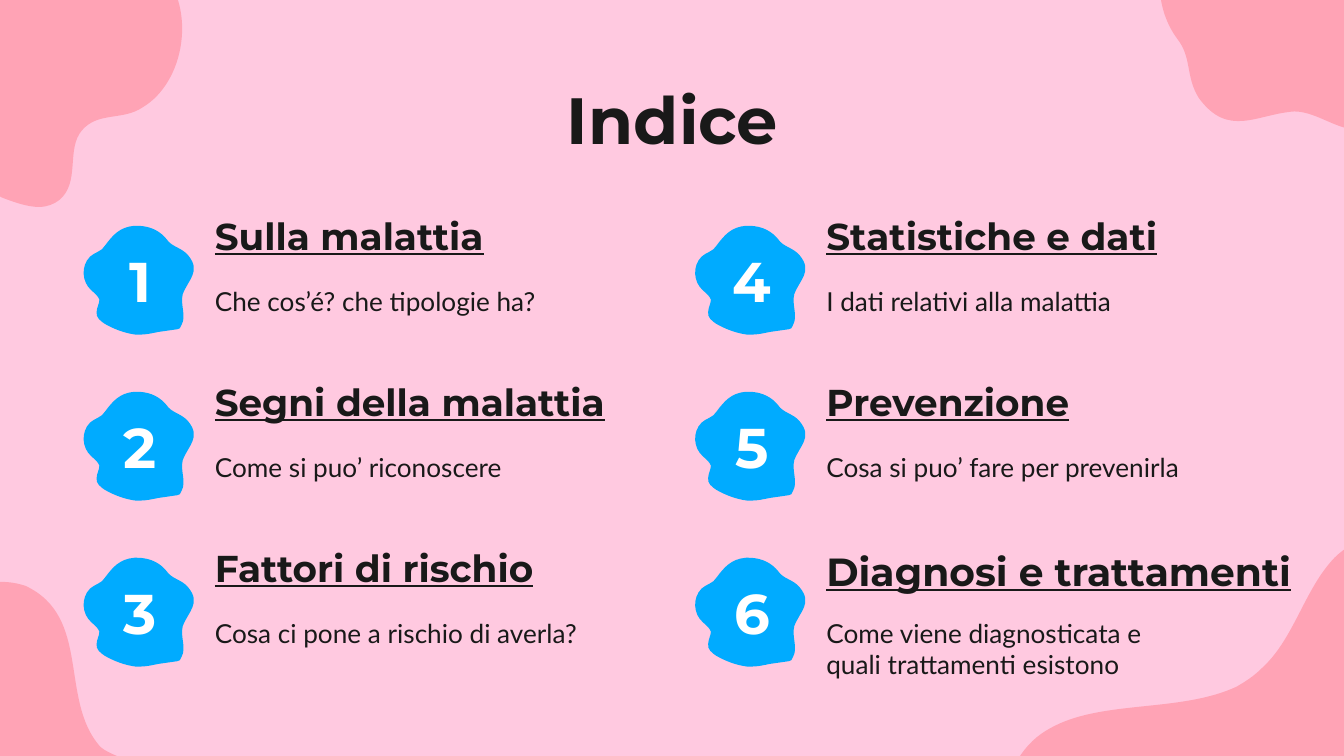
from dataclasses import dataclass

from lxml.etree import SubElement
from pptx import Presentation
from pptx.dml.color import RGBColor
from pptx.enum.text import MSO_ANCHOR as Anchor, PP_ALIGN as Align
from pptx.oxml.ns import qn
from pptx.util import Pt

# Content: (title, description), read down the left column, then the right
HEADING = "Indice"
ENTRIES = [
    ("Sulla malattia", "Che cos’é? che tipologie ha?"),
    ("Segni della malattia", "Come si puo’ riconoscere"),
    ("Fattori di rischio", "Cosa ci pone a rischio di averla?"),
    ("Statistiche e dati", "I dati relativi alla malattia"),
    ("Prevenzione", "Cosa si puo’ fare per prevenirla"),
    ("Diagnosi e trattamenti",
     "Come viene diagnosticata e quali trattamenti esistono"),
]
LAST_TITLE = 5  # the long one: larger, wider and slightly lower

# Outlines: a start point, then cubic curves (6 numbers) or lines (2 numbers)
BADGE = [
    (42, 0), (41, 0, 41, 0, 40, 0), (29, 1, 24, 7, 18, 15),
    (16, 19, 10, 20, 7, 23), (0, 30, 1, 42, 8, 48), (10, 50, 13, 52, 14, 55),
    (14, 58, 12, 61, 12, 64), (11, 68, 15, 71, 18, 73),
    (25, 77, 33, 80, 41, 81), (42, 81, 43, 81, 44, 81),
    (49, 81, 53, 80, 58, 79), (72, 77), (73, 77, 75, 76, 75, 74),
    (79, 67, 74, 59, 76, 51), (80, 40, 90, 34, 80, 22),
    (75, 16, 68, 16, 64, 10), (60, 5, 53, 0, 42, 0),
]
TOP_RIGHT = [
    (865, -27), (866, -29, 866, -31, 867, -33), (876, -57, 894, -65, 914, -73),
    (925, -77, 932, -88, 942, -94), (961, -105, 988, -95, 998, -75),
    (1002, -69, 1005, -61, 1011, -58), (1018, -56, 1026, -59, 1033, -58),
    (1041, -55, 1046, -46, 1048, -38), (1053, -19, 1055, 1, 1053, 21),
    (1053, 23, 1052, 25, 1051, 28), (1049, 38, 1044, 49, 1039, 59),
    (1024, 88), (1023, 92, 1020, 95, 1016, 96), (998, 100, 981, 83, 963, 83),
    (935, 85, 914, 103, 892, 73), (882, 57, 887, 43, 876, 29),
    (867, 17, 859, -4, 865, -27),
]
BOTTOM_LEFT = [
    (1, 433), (7, 433, 13, 434, 19, 436), (68, 459, 44, 520, 74, 555),
    (88, 571, 204, 587, 156, 620), (133, 635, 103, 630, 79, 641),
    (68, 646, 58, 654, 45, 656), (43, 657, 40, 657, 38, 657),
    (19, 657, 2, 644, -12, 631), (-29, 616, -46, 599, -68, 598),
    (-85, 598, -101, 608, -117, 608), (-119, 608, -122, 608, -125, 607),
    (-151, 601, -159, 564, -146, 541), (-132, 519, -104, 508, -78, 503),
    (-66, 501, -55, 499, -48, 490), (-39, 480, -41, 466, -36, 455),
    (-31, 440, -15, 433, 1, 433),
]
TOP_LEFT = [
    (31, -103), (31, -103, 32, -103, 32, -103), (37, -103, 41, -100, 44, -96),
    (53, -86, 53, -72, 51, -58), (50, -46, 48, -32, 53, -19),
    (57, -10, 67, -3, 76, -3), (80, -3, 83, -4, 86, -6),
    (95, -13, 98, -28, 109, -28), (114, -28, 118, -25, 120, -22),
    (146, 6, 138, 61, 106, 80), (91, 90, 73, 83, 61, 97),
    (49, 111, 60, 136, 44, 149), (40, 152, 35, 154, 29, 154),
    (21, 154, 12, 151, 4, 148), (1, 147, -3, 145, -5, 142),
    (-10, 136, -8, 128, -6, 121), (-1, 104, -4, 83, -19, 73),
    (-32, 63, -51, 64, -63, 53), (-73, 44, -75, 28, -71, 15),
    (-66, -3, -50, -16, -32, -19), (-14, -23, 9, -19, 18, -34),
    (25, -46, 19, -60, 16, -73), (13, -85, 19, -103, 31, -103),
]
BOTTOM_RIGHT = [
    (1010, 403), (1038, 389, 1073, 397, 1080, 433),
    (1085, 461, 1057, 471, 1050, 494), (1029, 567, 1138, 562, 1101, 623),
    (1093, 636, 1082, 645, 1069, 651), (1057, 657, 1044, 661, 1031, 663),
    (1007, 669, 981, 671, 958, 682), (956, 683, 954, 684, 952, 685),
    (915, 707, 895, 754, 859, 772), (853, 775, 847, 777, 841, 778),
    (834, 779, 827, 779, 821, 774), (817, 771, 815, 767, 813, 763),
    (799, 738, 786, 712, 773, 686), (753, 646, 733, 597, 760, 561),
    (767, 551, 775, 545, 785, 540), (823, 521, 879, 530, 920, 511),
    (927, 507, 933, 503, 938, 498), (963, 476, 970, 439, 993, 415),
    (998, 410, 1004, 406, 1010, 403),
]
CORNERS = [TOP_RIGHT, BOTTOM_LEFT, TOP_LEFT, BOTTOM_RIGHT]


@dataclass(frozen=True)
class Theme:
    background: str = "FFC9E0"
    corner: str = "FF0E0B"
    corner_alpha: int = 20
    badge: str = "00ABFF"
    ink: str = "191919"
    white: str = "FFFFFF"
    display: str = "Montserrat"
    body: str = "Lato"
    heading_size: int = 35
    number_size: int = 30
    title_size: int = 20
    long_title_size: int = 21
    body_size: int = 14


T = Theme()
COLUMNS = (60, 515)
PITCH = 123.5  # distance between rows


def px(n):
    """100 px to the inch."""
    return round(n * 9144)


def add_blob(s, outline, color, dx=0, dy=0, alpha=None):
    ends = [segment[-2:] for segment in outline]
    left, top = (min(values) for values in zip(*ends))
    builder = s.shapes.build_freeform(*ends[0], scale=px(1))
    builder.add_line_segments(ends[1:], close=True)
    sp = builder.convert_to_shape(px(dx), px(dy))
    sp.shadow.inherit = False
    sp.fill.solid()
    sp.fill.fore_color.rgb = RGBColor.from_string(color)
    sp.line.fill.background()
    # Bend the straight sides into curves
    sides = list(sp.element.iter(qn("a:lnTo")))
    for side, segment in zip(sides, outline[1:]):
        if len(segment) == 6:
            side.tag = qn("a:cubicBezTo")
            side.remove(side[0])
            for x, y in zip(segment[::2], segment[1::2]):
                SubElement(side, qn("a:pt"), x=str(x - left), y=str(y - top))
    if alpha is not None:
        rgb = next(sp.element.iter(qn("a:srgbClr")))
        SubElement(rgb, qn("a:alpha"), val=str(alpha * 1000))


def add_text(s, text, box, size, font=T.display, color=T.ink, bold=True,
             underline=False, align=Align.LEFT, anchor=Anchor.TOP):
    tf = s.shapes.add_textbox(*map(px, box)).text_frame
    tf.word_wrap = True
    tf.vertical_anchor = anchor
    tf.margin_left = tf.margin_right = tf.margin_top = tf.margin_bottom = px(10)
    p = tf.paragraphs[0]
    p.text = text
    p.alignment = align
    p.font.name = font
    p.font.size = Pt(size)
    p.font.bold = bold
    p.font.underline = underline
    p.font.color.rgb = RGBColor.from_string(color)


prs = Presentation()
prs.slide_width, prs.slide_height = px(1000), px(562.5)
s = prs.slides.add_slide(prs.slide_layouts[6])
s.background.fill.solid()
s.background.fill.fore_color.rgb = RGBColor.from_string(T.background)

# Corner decoration
for outline in CORNERS:
    add_blob(s, outline, T.corner, alpha=T.corner_alpha)

# Heading
add_text(s, HEADING, (79, 49, 843, 63), T.heading_size, align=Align.CENTER)

# Numbered entries
for i, (title, description) in enumerate(ENTRIES):
    column, row = divmod(i, 3)
    x, y = COLUMNS[column], PITCH * row
    add_blob(s, BADGE, T.badge, x, 168 + y)
    add_text(s, str(i + 1), (x, 189 + y, 89, 39), T.number_size, color=T.white,
             align=Align.CENTER, anchor=Anchor.MIDDLE)
    if i == LAST_TITLE:
        box, size = (x + 90, 160 + y, 395, 45), T.long_title_size
    else:
        box, size = (x + 90, 157 + y, 332, 45), T.title_size
    add_text(s, title, box, size, underline=True, anchor=Anchor.BOTTOM)
    add_text(s, description, (x + 90, 202 + y, 298, 58), T.body_size,
             font=T.body, bold=False)

prs.save("out.pptx")
